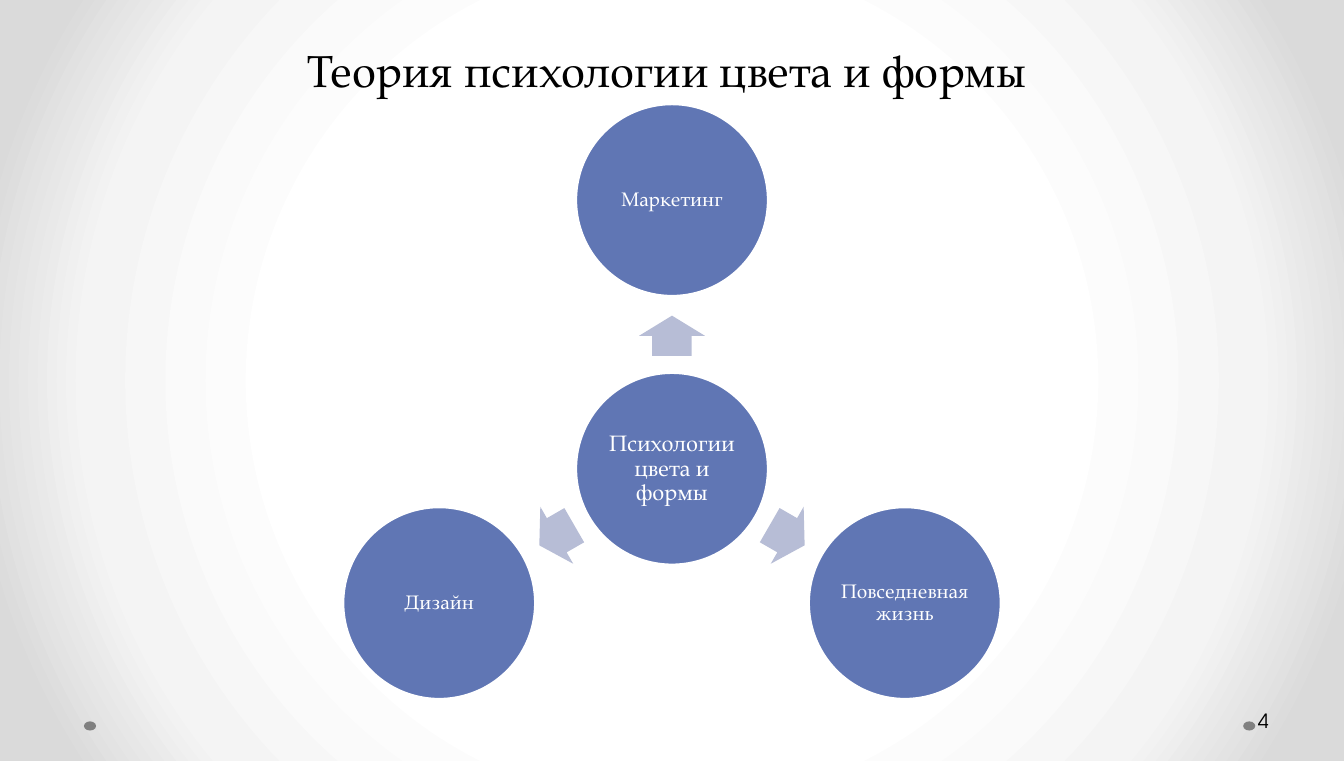
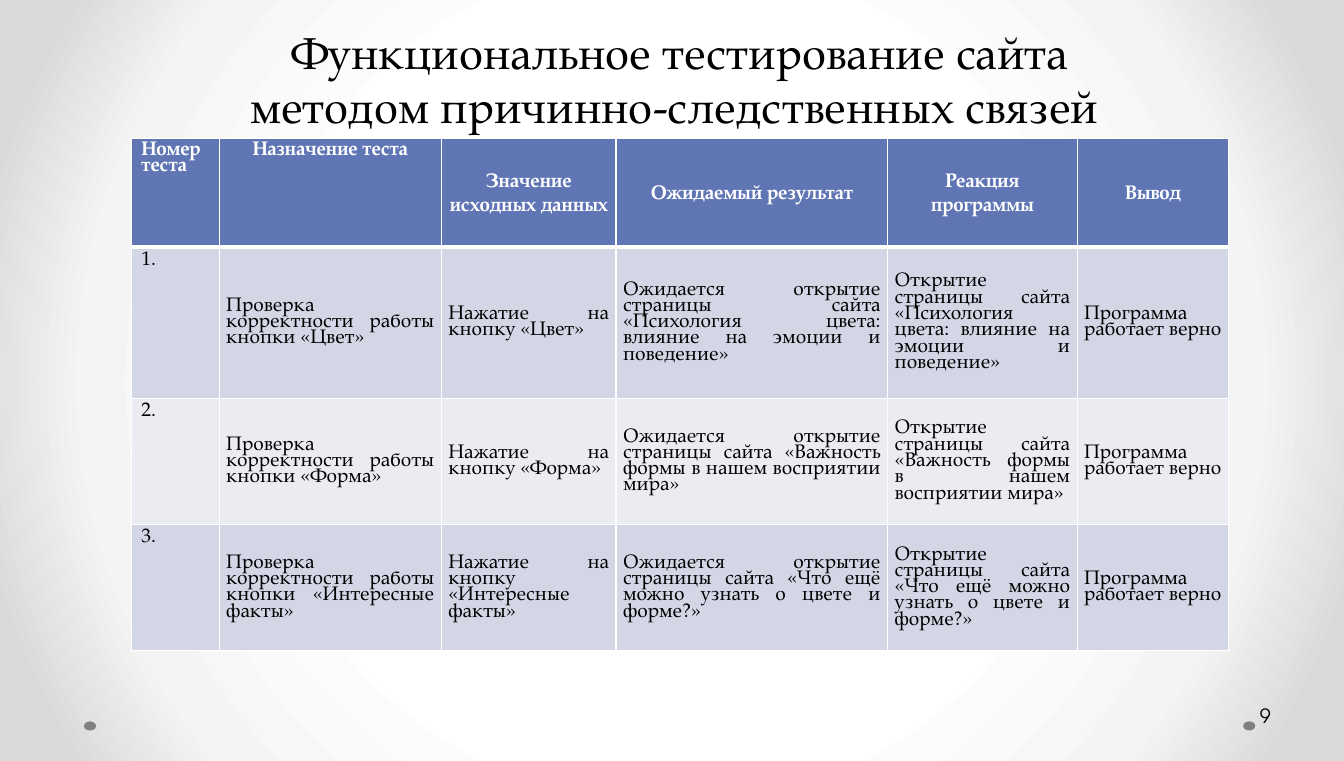
from math import cos, radians, sin

from pptx import Presentation
from pptx.dml.color import RGBColor
from pptx.enum.shapes import MSO_SHAPE as Shape
from pptx.enum.text import MSO_ANCHOR as Anchor, MSO_AUTO_SIZE as AutoSize, PP_ALIGN as Align
from pptx.oxml import parse_xml
from pptx.util import Inches, Pt

color = RGBColor.from_string
SERIF, SANS = "TeX Gyre Pagella", "TeX Gyre Adventor"
BLACK, WHITE, GRAY = "000000", "FFFFFF", "808080"
BLUE, PALE_BLUE, BANDS = "6076B4", "B7BDD6", ("D2D6E5", "EAECF2")
DRAWING = 'xmlns:a="http://schemas.openxmlformats.org/drawingml/2006/main"'

deck = Presentation()
deck.slide_width, deck.slide_height = Inches(13.31), Inches(7.54)
ASPECT = deck.slide_width / deck.slide_height


def grid(left, top, width, height):
    """Turn places on a grid of 100 columns by 100 rows into lengths."""
    column, row = deck.slide_width / 100, deck.slide_height / 100
    return [round(n) for n in (left * column, top * row, width * column, height * row)]


def write(frame, lines, size, ink, font=SERIF, align=Align.LEFT, spacing=None, bold=False):
    frame.word_wrap = True
    for index, line in enumerate(lines):
        para = frame.add_paragraph() if index else frame.paragraphs[0]
        para.text, para.alignment, para.line_spacing = line, align, spacing
        para.font.name, para.font.size, para.font.bold = font, Pt(size), bold
        para.font.color.rgb = color(ink)


# Shared background: light centre, gray edges
master = deck.slide_master
master.background.fill.solid()
solid = master.element.xpath(".//p:bgPr/a:solidFill")[0]
stops = "".join(
    f'<a:gs pos="{share * 1000}"><a:srgbClr val="{tone}"/></a:gs>'
    for share, tone in ((50, WHITE), (76, "F4F4F4"), (92, "DADADA"))
)
solid.getparent().replace(solid, parse_xml(
    f'<a:gradFill {DRAWING} rotWithShape="1"><a:gsLst>{stops}</a:gsLst><a:path path="circle">'
    '<a:fillToRect l="50000" t="50000" r="50000" b="50000"/></a:path></a:gradFill>'
))

# Shared parts: footer dots, title, page number
pages = []
for title_lines, title_place, title_align, title_indent, number, number_place in (
    (["Теория психологии цвета и формы"], (17.5, 4.8, 64.9, 8.75), Align.LEFT, 0.72,
     "4", (93.3, 92, 4.4, 5.3)),
    (["Функциональное тестирование сайта", "методом причинно-следственных связей "],
     (9.5, 2.4, 82.2, 15.9), Align.CENTER, 0.12, "9", (93.45, 91.4, 4.4, 5.3)),
):
    page = deck.slides.add_slide(deck.slide_layouts[6])
    pages.append(page)
    for left in (6.25, 92.5):
        dot = page.shapes.add_shape(Shape.OVAL, *grid(left, 94.8, 0.9, 1.2))
        dot.shadow.inherit = False
        dot.fill.solid()
        dot.fill.fore_color.rgb = color(GRAY)
        dot.line.fill.background()

    title = page.shapes.add_textbox(*grid(*title_place)).text_frame
    title.margin_left, title.margin_right = Inches(title_indent), Inches(0.12)
    title.margin_top = title.margin_bottom = Inches(0.06)
    write(title, title_lines, 32, BLACK, align=title_align)
    title.auto_size = AutoSize.SHAPE_TO_FIT_TEXT

    label = page.shapes.add_textbox(*grid(*number_place)).text_frame
    label.margin_left, label.margin_right = Inches(0.04), Inches(0.06)
    label.vertical_anchor = Anchor.MIDDLE
    write(label, [number], 14, BLACK, font=SANS)

theory_page, testing_page = pages

# Radial diagram: a hub, three circles around it and arrows between
HUB_X, HUB_Y = 50, 61.6
CIRCLE, ORBIT = 14.35, 20
ARROW_LENGTH, ARROW_WIDTH, ARROW_ORBIT = 3, 4.9, 9.9
for text, angle, orbit, size in (
    ("Психологии цвета и формы", 0, 0, 16),
    ("Маркетинг", -90, ORBIT, 14),
    ("Повседневная жизнь", 30, ORBIT, 14),
    ("Дизайн", 150, ORBIT, 14),
):
    across, down = cos(radians(angle)), sin(radians(angle)) * ASPECT
    circle = theory_page.shapes.add_shape(Shape.OVAL, *grid(
        HUB_X + orbit * across - CIRCLE / 2, HUB_Y + orbit * down - CIRCLE * ASPECT / 2,
        CIRCLE, CIRCLE * ASPECT))
    circle.shadow.inherit = False
    circle.fill.solid()
    circle.fill.fore_color.rgb = color(BLUE)
    circle.line.color.rgb = color(WHITE)
    circle.line.width = Pt(2.25)
    frame = circle.text_frame
    frame.margin_left = frame.margin_right = Inches(0.02)
    frame.margin_top = frame.margin_bottom = Inches(0.02)
    frame.vertical_anchor = Anchor.MIDDLE
    write(frame, [text], size, WHITE, align=Align.CENTER, spacing=0.9)
    if orbit:
        arrow = theory_page.shapes.add_shape(Shape.RIGHT_ARROW, *grid(
            HUB_X + ARROW_ORBIT * across - ARROW_LENGTH / 2,
            HUB_Y + ARROW_ORBIT * down - ARROW_WIDTH * ASPECT / 2,
            ARROW_LENGTH, ARROW_WIDTH * ASPECT))
        arrow.adjustments[0], arrow.adjustments[1] = 0.6, 0.5
        arrow.rotation = angle % 360
        arrow.shadow.inherit = False
        arrow.fill.solid()
        arrow.fill.fore_color.rgb = color(PALE_BLUE)
        arrow.line.fill.background()

# Test table
VERDICT = "Программа работает верно"
tests = [("Номер теста", "Назначение теста", "Значение исходных данных",
          "Ожидаемый результат", "Реакция программы", "Вывод")]
for number, (button, site_page) in enumerate((
    ("Цвет", "Психология цвета: влияние на эмоции и поведение"),
    ("Форма", "Важность формы в нашем восприятии мира"),
    ("Интересные факты", "Что ещё можно узнать о цвете и форме?"),
), start=1):
    tests.append((f"{number}.", f"Проверка корректности работы кнопки «{button}»",
                  f"Нажатие на кнопку «{button}»",
                  f"Ожидается открытие страницы сайта «{site_page}»",
                  f"Открытие страницы сайта «{site_page}»", VERDICT))

widths = (6.54, 16.53, 13, 20.21, 14.1, 11.27)
heights = (14.3, 19.9, 16.58, 16.58)
table = testing_page.shapes.add_table(
    len(tests), len(widths), *grid(9.77, 18.17, sum(widths), sum(heights))).table
table.horz_banding = False
for column, width in zip(table.columns, widths):
    column.width = grid(0, 0, width, 0)[2]
for row, height in zip(table.rows, heights):
    row.height = grid(0, 0, 0, height)[3]

for r, texts in enumerate(tests):
    for c, text in enumerate(texts):
        cell = table.cell(r, c)
        header = r == 0
        plain = c == 0 or (header and c == 1)
        if not plain:
            cell.vertical_anchor = Anchor.MIDDLE
            cell.margin_left = cell.margin_right = Inches(0.07)
            cell.margin_top = cell.margin_bottom = 0
        if c == 0:
            align = Align.LEFT
        else:
            align = Align.CENTER if header else Align.JUSTIFY
        write(cell.text_frame, [text], 14, WHITE if header else BLACK, align=align,
              spacing=0.82 if plain or not header else 1.22, bold=header)
        cell.fill.solid()
        cell.fill.fore_color.rgb = color(BLUE if header else BANDS[(r - 1) % 2])
        # White borders, thicker under the header
        thick = {(0, "B"), (1, "T")}
        for place, side in enumerate("LRTB"):
            weight = Pt(3 if (r, side) in thick else 1)
            cell._tc.tcPr.insert(place, parse_xml(
                f'<a:ln{side} {DRAWING} w="{weight}"><a:solidFill>'
                f'<a:srgbClr val="{WHITE}"/></a:solidFill></a:ln{side}>'))

deck.save("out.pptx")
